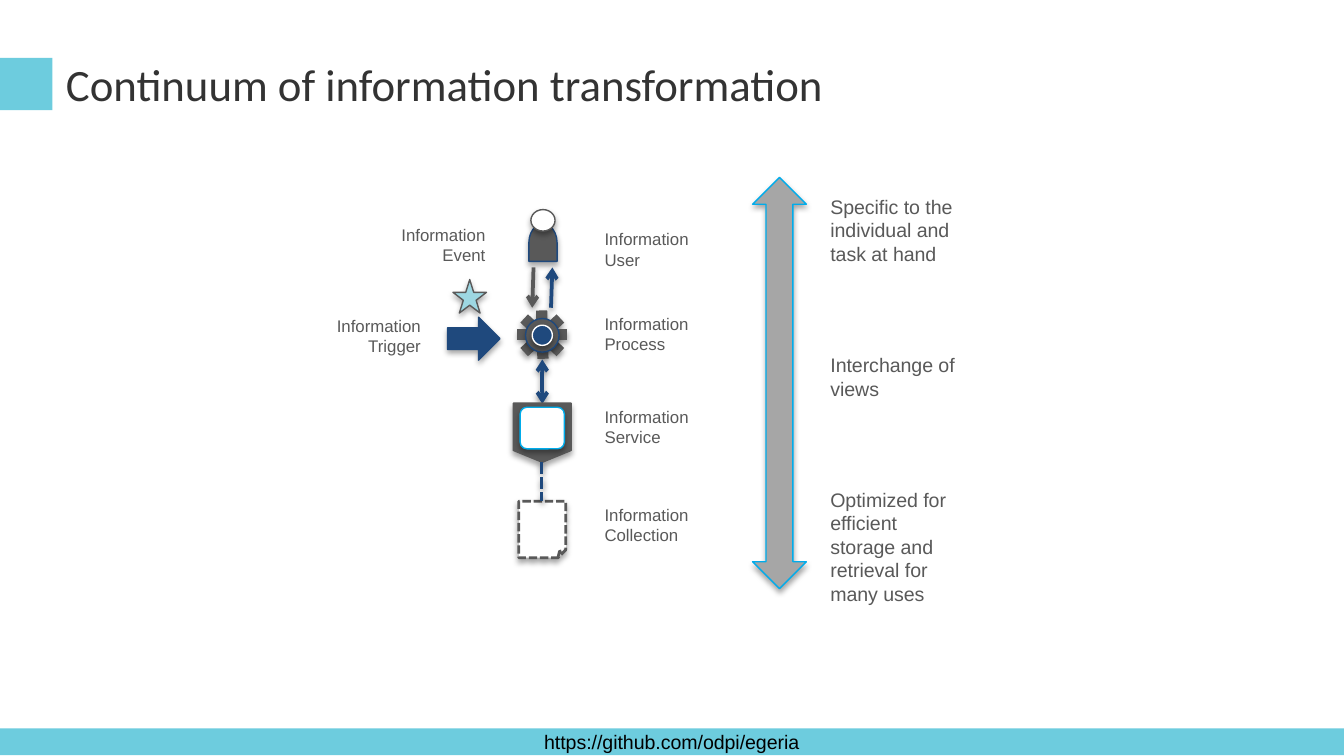
from dataclasses import dataclass
from typing import Optional

from lxml.etree import SubElement
from pptx import Presentation
from pptx.dml.color import RGBColor
from pptx.enum.dml import MSO_LINE
from pptx.enum.shapes import MSO_CONNECTOR, MSO_SHAPE
from pptx.enum.text import MSO_ANCHOR, PP_ALIGN
from pptx.oxml.ns import qn
from pptx.util import Inches, Pt

SLIDE_WIDTH = 10
SLIDE_HEIGHT = SLIDE_WIDTH * 9 / 16

COLORS = {
    "teal": "6DCCDE", "pale_teal": "9DD7E2", "sky": "00ACEB", "navy": "1F497D",
    "gray": "595959", "silver": "A6A6A6", "white": "FFFFFF",
    "title": "333333", "black": "000000",
}


@dataclass
class Icon:
    kind: MSO_SHAPE
    box: tuple[float, float, float, float]
    fill: str
    line: Optional[str] = None
    width: float = 0.75
    dash: Optional[MSO_LINE] = None
    rotation: float = 0


@dataclass
class Link:
    start: tuple[float, float]
    end: tuple[float, float]
    color: str = "navy"
    width: float = 2
    arrows: tuple[str, ...] = ()
    dash: Optional[MSO_LINE] = None
    kind: MSO_CONNECTOR = MSO_CONNECTOR.STRAIGHT
    rotation: int = 0


@dataclass
class Label:
    lines: str
    box: tuple[float, float, float, float]
    size: float = 9
    align: PP_ALIGN = PP_ALIGN.LEFT
    anchor: MSO_ANCHOR = MSO_ANCHOR.MIDDLE
    wrap: bool = True


def rgb(name: str) -> RGBColor:
    return RGBColor.from_string(COLORS[name])


def add_shadow(sp_pr, opacity: int, distance: float) -> None:
    """Append a soft shadow that falls straight down."""
    effects = SubElement(sp_pr, qn("a:effectLst"))
    outer = SubElement(effects, qn("a:outerShdw"), blurRad=str(Pt(3.1)),
                       dist=str(Pt(distance)), dir="5400000", rotWithShape="0")
    color = SubElement(outer, qn("a:srgbClr"), val=COLORS["black"])
    SubElement(color, qn("a:alpha"), val=str(opacity * 1000))


def write(frame, text: str, *, size: float, color: str = "gray", font: str = "Arial",
          align: PP_ALIGN = PP_ALIGN.LEFT, anchor: MSO_ANCHOR = MSO_ANCHOR.MIDDLE,
          wrap: bool = True) -> None:
    frame.word_wrap = wrap
    frame.vertical_anchor = anchor
    frame.text = text
    for paragraph in frame.paragraphs:
        paragraph.alignment = align
        paragraph.font.size = Pt(size)
        paragraph.font.name = font
        paragraph.font.color.rgb = rgb(color)


def draw_icon(shapes, icon: Icon):
    """Draw a preset shape; only outlined ones cast a shadow."""
    shape = shapes.add_shape(icon.kind, *map(Inches, icon.box))
    shape.rotation = icon.rotation
    shape.fill.solid()
    shape.fill.fore_color.rgb = rgb(icon.fill)
    if icon.line:
        shape.line.color.rgb = rgb(icon.line)
        shape.line.width = Pt(icon.width)
        if icon.dash:
            shape.line.dash_style = icon.dash
        add_shadow(shape._element.spPr, 35, 1.8)
    else:
        shape.line.fill.background()
        shape.shadow.inherit = False
    return shape


def draw_link(shapes, link: Link) -> None:
    connector = shapes.add_connector(link.kind, *map(Inches, link.start + link.end))
    connector.line.color.rgb = rgb(link.color)
    connector.line.width = Pt(link.width)
    if link.dash:
        connector.line.dash_style = link.dash
    sp_pr = connector._element.spPr
    for end in link.arrows:
        SubElement(sp_pr.find(qn("a:ln")), qn(f"a:{end}"), type="arrow")
    if link.rotation:
        sp_pr.find(qn("a:xfrm")).set("rot", str(link.rotation * 60000))
    add_shadow(sp_pr, 38, 1.6)


def draw_label(shapes, label: Label) -> None:
    box = shapes.add_textbox(*map(Inches, label.box))
    write(box.text_frame, label.lines, size=label.size, align=label.align,
          anchor=label.anchor, wrap=label.wrap)


def gear_tooth(start: tuple[float, float], end: tuple[float, float]) -> Link:
    """One thick bar across the gear, showing as two opposite teeth."""
    return Link(start, end, "gray", 6)


def scale_note(text: str, top: float, width: float, height: float) -> Label:
    return Label(text, (6.08, top, width, height), 10.5, anchor=MSO_ANCHOR.TOP)


LABELS = [
    Label("Information Service", (4.4, 2.91, 0.99, 0.53)),
    Label("Information\nUser", (4.4, 1.65, 0.88, 0.41)),
    Label("Information\nProcess", (4.4, 2.22, 1.06, 0.53)),
    Label("Information\nTrigger", (2.4, 2.3, 0.83, 0.4), align=PP_ALIGN.RIGHT, wrap=False),
    Label("Information Collection", (4.4, 3.64, 1.17, 0.53)),
    Label("Information\nEvent", (2.85, 1.62, 0.86, 0.4), align=PP_ALIGN.RIGHT),
    scale_note("Specific to the individual and task at hand", 1.4, 1.14, 0.63),
    scale_note("Optimized for efficient storage and retrieval for many uses", 3.58, 1.21, 0.98),
    scale_note("Interchange of views", 2.58, 1.21, 0.45),
]

USER = [
    Icon(MSO_SHAPE.FLOWCHART_DELAY, (3.9, 1.7, 0.28, 0.21), "gray", "navy", rotation=270),
    Icon(MSO_SHAPE.OVAL, (3.95, 1.56, 0.18, 0.16), "white", "gray"),
]
PROCESS = [
    gear_tooth((3.9, 2.37), (4.17, 2.62)),
    gear_tooth((4.17, 2.37), (3.9, 2.62)),
    gear_tooth((4.03, 2.31), (4.04, 2.67)),
    gear_tooth((3.85, 2.49), (4.22, 2.49)),
    Icon(MSO_SHAPE.OVAL, (3.91, 2.37, 0.25, 0.25), "gray", "navy"),
    Icon(MSO_SHAPE.OVAL, (3.96, 2.42, 0.15, 0.15), "navy", "white"),
]
FLOWS = [
    Link((3.97, 1.99), (3.96, 2.29), "gray", arrows=("tailEnd",)),
    Link((4.1, 2.29), (4.11, 1.99), arrows=("tailEnd",)),
    Link((3.87, 2.84), (4.2, 2.84), arrows=("headEnd", "tailEnd"),
         kind=MSO_CONNECTOR.CURVE, rotation=90),
]
TRIGGER = [Icon(MSO_SHAPE.RIGHT_ARROW, (3.33, 2.36, 0.39, 0.32), "navy", "navy")]
SERVICE = [
    Icon(MSO_SHAPE.FLOWCHART_OFFPAGE_CONNECTOR, (3.82, 3, 0.43, 0.44), "gray", "gray"),
    Icon(MSO_SHAPE.ROUNDED_RECTANGLE, (3.87, 3.03, 0.33, 0.31), "white", "sky"),
]
COLLECTION = [
    Icon(MSO_SHAPE.FOLDED_CORNER, (3.86, 3.73, 0.35, 0.42), "white", "gray", 1.5,
         MSO_LINE.SQUARE_DOT),
    Link((4.03, 3.44), (4.03, 3.73), dash=MSO_LINE.SQUARE_DOT),
]
EVENT = [Icon(MSO_SHAPE.STAR_5_POINT, (3.37, 2.08, 0.25, 0.25), "pale_teal", "gray")]


def main() -> None:
    deck = Presentation()
    deck.slide_width, deck.slide_height = Inches(SLIDE_WIDTH), Inches(SLIDE_HEIGHT)
    slide = deck.slides.add_slide(deck.slide_layouts[5])
    shapes = slide.shapes

    title = shapes.title
    title.left, title.top, title.width, title.height = map(Inches, (0.39, 0.32, 9.27, 0.62))
    frame = title.text_frame
    frame.margin_left = frame.margin_right = frame.margin_top = frame.margin_bottom = Inches(0.1)
    write(frame, "Continuum of information transformation", size=24, color="title",
          font="Calibri", anchor=MSO_ANCHOR.TOP)

    footer = draw_icon(shapes, Icon(MSO_SHAPE.RECTANGLE, (0, 5.42, SLIDE_WIDTH, 0.2), "teal"))
    write(footer.text_frame, "https://github.com/odpi/egeria", size=10.5, color="black",
          align=PP_ALIGN.CENTER)
    draw_icon(shapes, Icon(MSO_SHAPE.RECTANGLE, (0, 0.43, 0.39, 0.39), "teal"))

    for label in LABELS:
        draw_label(shapes, label)

    diagram = shapes.add_group_shape().shapes
    for part in USER + PROCESS + FLOWS + TRIGGER + SERVICE + COLLECTION + EVENT:
        draw = draw_link if isinstance(part, Link) else draw_icon
        draw(diagram, part)
    draw_icon(shapes, Icon(MSO_SHAPE.UP_DOWN_ARROW, (5.6, 1.32, 0.4, 3.06), "silver", "sky"))

    deck.save("out.pptx")


if __name__ == "__main__":
    main()
